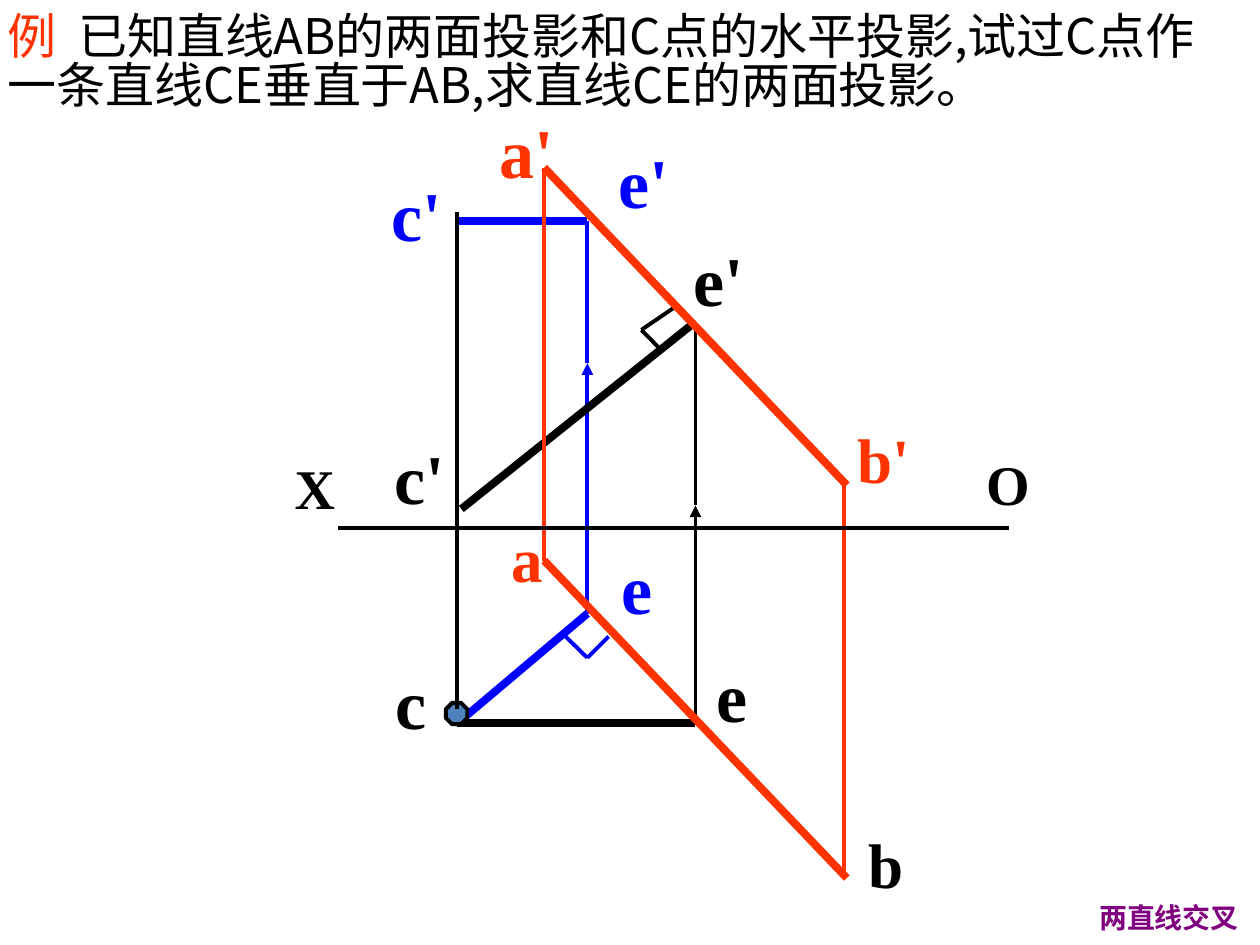
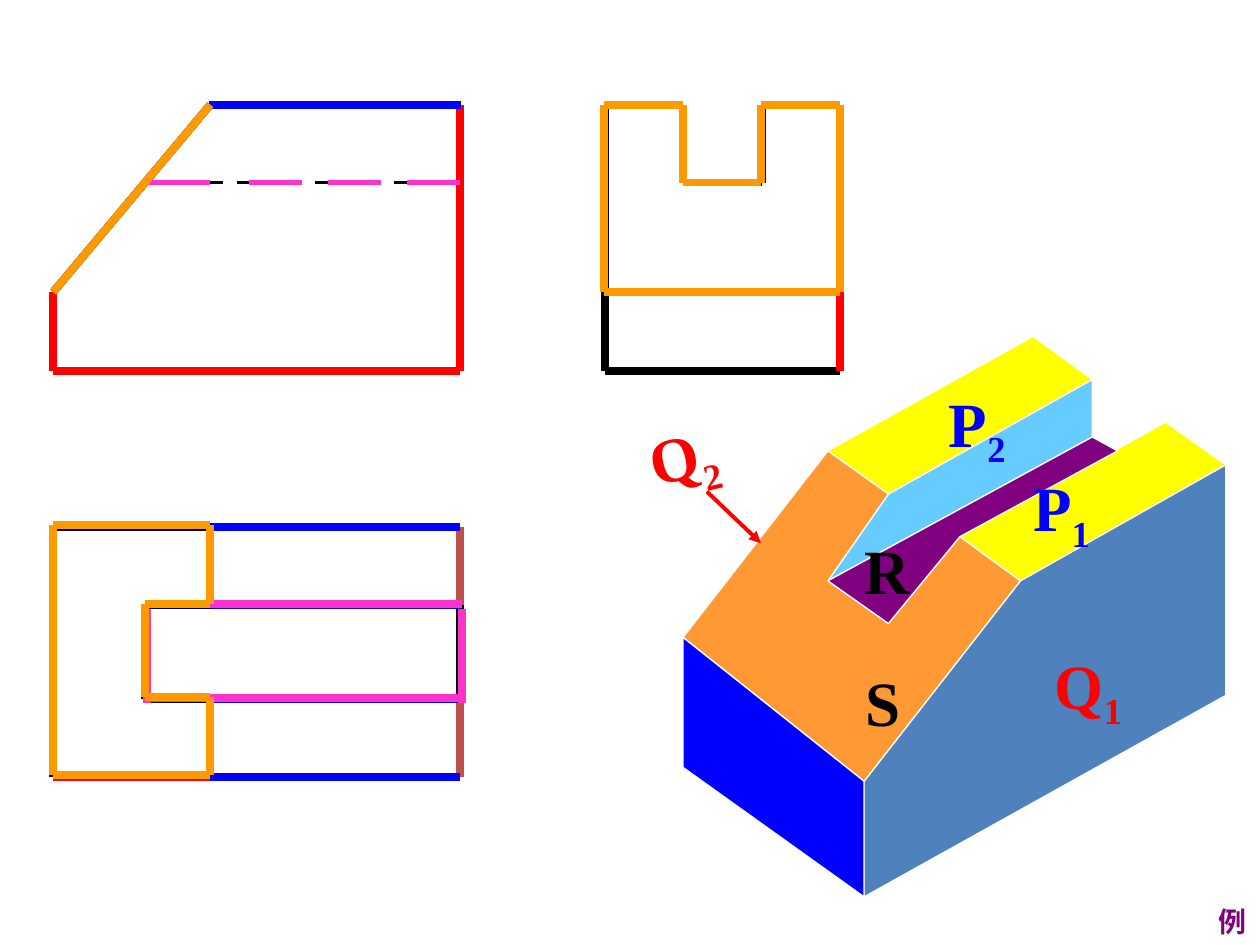
from itertools import pairwise

from lxml.etree import SubElement
from pptx import Presentation
from pptx.dml.color import RGBColor
from pptx.enum.shapes import MSO_CONNECTOR, MSO_SHAPE
from pptx.enum.text import MSO_ANCHOR, PP_ALIGN
from pptx.oxml.ns import qn
from pptx.util import Cm, Pt

BLACK, WHITE = "000000", "FFFFFF"
BLUE, RED, PURPLE = "0000FF", "FF0000", "800080"
VERMILION, ORANGE, PINK = "FF3300", "FF9900", "FF33CC"
BRICK, STEEL = "C0504D", "4F81BD"
LATIN, CHINESE = "Times New Roman", "Noto Sans CJK SC"
THICK, THIN = 4.5, 2.25


def add_text(text, *, page=None, para=None, at=None, size=36, color=BLACK,
             bold=True, name=LATIN, align=PP_ALIGN.LEFT, anchor=MSO_ANCHOR.TOP,
             wrap=False, lines=1, baseline=0):
    """Add text in a new box at (left, top, width), or append it to para."""
    if para is None:
        left, top, width = at
        height = 0.25 + lines * size * 0.0423
        box = page.shapes.add_textbox(Cm(left), Cm(top), Cm(width), Cm(height))
        box.text_frame.word_wrap = wrap
        box.text_frame.vertical_anchor = anchor
        para = box.text_frame.paragraphs[0]
        para.alignment = align
    else:
        box = None
    span = para.add_run()
    span.text = text
    span.font.size = Pt(size)
    span.font.bold = bold
    span.font.color.rgb = RGBColor.from_string(color)
    span.font.name = name
    properties = span._r.get_or_add_rPr()
    SubElement(properties, qn("a:ea"), typeface=CHINESE)
    if baseline:
        properties.set("baseline", str(baseline * 1000))
    return box, para


def draw_path(page, color, width, *points, arrow=False):
    """Join the points with straight connectors."""
    for (x1, y1), (x2, y2) in pairwise(points):
        line = page.shapes.add_connector(
            MSO_CONNECTOR.STRAIGHT, Cm(x1), Cm(y1), Cm(x2), Cm(y2))
        line.line.color.rgb = RGBColor.from_string(color)
        line.line.width = Pt(width)
        if arrow:
            SubElement(line.line._get_or_add_ln(), qn("a:tailEnd"), type="triangle")
        SubElement(line._element.spPr, qn("a:effectLst"))


deck = Presentation()
deck.slide_width, deck.slide_height = Cm(25.4), Cm(19.05)
blank = deck.slide_layouts[6]
footer = dict(size=16, color=PURPLE, align=PP_ALIGN.CENTER, anchor=MSO_ANCHOR.MIDDLE)

# Slide 1: perpendicular through C
page = deck.slides.add_slide(blank)
c, e_black, e_blue = (9.22, 14.58), (14.02, 14.58), (11.84, 12.37)
a, a_front = (10.97, 11.3), (10.97, 3.38)
b, b_front = (17.07, 17.7), (17.07, 9.78)

draw_path(page, BLACK, THICK, c, e_black)
draw_path(page, BLUE, THICK, c, e_blue)
draw_path(page, BLUE, THIN, (11.4, 12.83), (11.84, 13.26), (12.27, 12.83))
for color, foot, middle, head in [
    (BLACK, e_black, (14.02, 10.19), (14.02, 6.65)),
    (BLUE, e_blue, (11.84, 7.32), (11.84, 4.45)),
]:
    draw_path(page, color, THIN, foot, middle, arrow=True)
    draw_path(page, color, THIN, middle, head)
draw_path(page, BLACK, THICK, (13.94, 6.55), (9.3, 10.26))
draw_path(page, BLACK, THIN, (13.59, 6.2), (12.93, 6.65), (13.36, 7.09))
draw_path(page, BLUE, THICK, (11.84, 4.45), (9.22, 4.45))

title = dict(size=28, bold=False, name=CHINESE)
box, para = add_text("例 ", page=page, at=(-0.1, 0.18, 25.2), color=VERMILION,
                     wrap=True, lines=2, **title)
para.line_spacing = 0.83
add_text(" 已知直线AB的两面投影和C点的水平投影,试过C点作一条直线CE垂直于AB,"
         "求直线CE的两面投影。", para=para, **title)

point_c = page.shapes.add_shape(MSO_SHAPE.OCTAGON, Cm(8.99), Cm(14.17), Cm(0.43), Cm(0.43))
point_c.shadow.inherit = False
point_c.fill.solid()
point_c.fill.fore_color.rgb = RGBColor.from_string(STEEL)
point_c.line.color.rgb = RGBColor.from_string(BLACK)
point_c.line.width = Pt(THIN)

draw_path(page, VERMILION, THIN, a, a_front)
draw_path(page, VERMILION, THICK, a, b)
draw_path(page, VERMILION, THICK, b_front, a_front)
draw_path(page, VERMILION, THIN, (17.02, 17.7), (17.02, 9.78))
draw_path(page, BLACK, THIN, (9.22, 14.3), (9.22, 4.27))
draw_path(page, BLACK, THIN, (6.81, 10.64), (20.35, 10.64))

for text, left, top, width, size, color in [
    ("e", 14.2, 13.03, 1.14, 40, BLACK),
    ("e", 12.27, 10.85, 1.14, 40, BLUE),
    ("e'", 13.74, 4.65, 1.52, 40, BLACK),
    ("e'", 12.22, 2.67, 1.52, 40, BLUE),
    ("c'", 7.7, 8.64, 1.52, 40, BLACK),
    ("c'", 7.65, 3.33, 1.52, 40, BLUE),
    ("c", 7.72, 13.18, 1.14, 40, BLACK),
    ("b", 17.25, 16.51, 1.22, 36, BLACK),
    ("a", 10.06, 10.34, 1.14, 36, VERMILION),
    ("b'", 17.04, 8.36, 1.57, 36, VERMILION),
    ("a'", 9.83, 2.06, 1.6, 40, VERMILION),
    ("O", 19.63, 8.94, 1.4, 32, BLACK),
    ("X", 5.69, 9.02, 1.32, 32, BLACK),
]:
    add_text(text, page=page, at=(left, top, width), size=size, color=color)
add_text("两直线交叉", page=page, at=(21.89, 18.03, 3.35), **footer)

# Slide 2: three views and the solid
page = deck.slides.add_slide(blank)
slot_inner, slot_front = (16.69, 11.71), (17.91, 12.57)
slot_back, wall_back = (22.02, 8.81), (22.02, 7.65)
left_near, left_far, left_back = (17.91, 9.96), (16.69, 9.09), (20.83, 6.78)
right_near, right_far, right_back = (20.57, 11.71), (19.35, 10.82), (23.5, 8.51)
corner_top, corner_base = (17.42, 15.75), (17.42, 18.08)
side_top, side_base = (24.71, 9.37), (24.71, 14.02)
end_top, end_base = (13.77, 12.85), (13.77, 15.47)
for color, outline in [
    ("66CCFF", [slot_inner, slot_back, wall_back, left_near]),
    (STEEL, [corner_base, side_base, side_top, right_near, corner_top]),
    ("FFFF00", [right_near, right_far, right_back, side_top]),
    ("FFFF00", [left_near, left_far, left_back, wall_back]),
    ("FF9933", [right_near, right_far, slot_front, slot_inner, left_near,
                left_far, end_top, corner_top]),
    (BLUE, [end_top, end_base, corner_base, corner_top]),
    (PURPLE, [slot_back, (22.53, 9.09), right_far, slot_front, slot_inner]),
]:
    start, *others = [(Cm(x), Cm(y)) for x, y in outline]
    builder = page.shapes.build_freeform(*start)
    builder.add_line_segments(others, close=True)
    face = builder.convert_to_shape()
    face.shadow.inherit = False
    face.fill.solid()
    face.fill.fore_color.rgb = RGBColor.from_string(color)
    face.line.color.rgb = RGBColor.from_string(WHITE)
    face.line.width = Pt(0.75)

left, slot, ridge, right = 1.07, 2.92, 4.24, 9.27
roof, floor, toe, base = 2.11, 3.68, 5.89, 7.47
side1, side2, side3, side4 = 12.19, 13.77, 15.37, 16.94
plan1, plan2, plan3, plan4 = 10.62, 12.19, 14.1, 15.67
for color, *points in [
    # Black outlines: side view, plan, front view
    (BLACK, (side1, roof), (side2, roof), (side2, floor), (side3, floor), (side3, roof),
     (side4, roof), (side4, base), (side1, base), (side1, roof)),
    (BLACK, (side1, toe), (side4, toe)),
    (BLACK, (left, plan1), (right, plan1), (right, plan4), (left, plan4), (left, plan1)),
    (BLACK, (right, plan2), (slot, plan2), (slot, plan3), (right, plan3)),
    (BLACK, (ridge, plan1), (ridge, plan2)),
    (BLACK, (ridge, plan3), (ridge, plan4)),
    (BLACK, (right, base), (right, roof), (ridge, roof), (left, toe), (left, base), (right, base)),
    # Vertical faces
    (RED, (left, plan4), (right, plan4)),
    (RED, (side4, base), (side4, roof)),
    (RED, (left, toe), (left, base), (right, base), (right, roof)),
    # Horizontal faces
    (BLUE, (right + 0.03, roof), (ridge - 0.02, roof)),
    (BRICK, (right, plan1), (right, plan2)),
    (BRICK, (right, plan3), (right, plan4)),
    *[(BLUE, (right, y), (ridge, y)) for y in (plan1, plan2, plan3, plan4)],
]:
    draw_path(page, color, THICK, *points)

for dash in range(4):
    start = right - 1.59 * dash
    black_end, pink_end = start - 1.32, start - 1.07
    if dash == 3:
        black_end, start_pink, pink_end = slot, ridge, slot
    else:
        start_pink = start
    draw_path(page, BLACK, 1.5, (start, floor), (black_end, floor))
    draw_path(page, PINK, 3, (start_pink, floor), (pink_end, floor))

# Slot floor, then the sloping face
for color, *points in [
    (ORANGE, (ridge, roof), (left, toe)),
    (PINK, (2.97, 12.17), (9.32, 12.17)),
    (PINK, (2.97, 14.07), (9.32, 14.07)),
    (PINK, (2.97, 12.27), (2.97, 14.17)),
    (PINK, (9.32, 12.27), (9.32, 14.17)),
    (ORANGE, (ridge, 15.62), (left, 15.62), (left, 10.59), (ridge, 10.59), (ridge, 12.17),
     (slot, 12.17), (slot, 14.05), (ridge, 14.05), (ridge, 15.62)),
    (ORANGE, (12.17, roof), (side2, roof), (side2, floor), (15.34, floor), (15.34, roof),
     (side4, roof), (side4, toe), (12.17, toe), (12.17, roof)),
]:
    draw_path(page, color, THICK, *points)

draw_path(page, RED, THIN, (14.25, 9.91), (15.34, 10.95), arrow=True)
for text, index, x, y, width, color, rotation in [
    ("Q", "1", 20.98, 12.9, 1.93, RED, 0),
    ("Q", "2", 12.8, 8.28, 1.93, RED, 347.1),
    ("P", "1", 20.55, 9.32, 1.7, BLUE, 0),
    ("P", "2", 18.85, 7.62, 1.7, BLUE, 0),
    ("R", "", 17.17, 10.59, 1.42, BLACK, 0),
    ("S", "", 17.2, 13.26, 1.22, BLACK, 0),
]:
    box, para = add_text(text, page=page, at=(x, y, width), color=color, align=PP_ALIGN.CENTER)
    box.rotation = rotation
    if index:
        add_text(index, para=para, color=color, baseline=-25)
add_text("例", page=page, at=(24.28, 18.11, 1.12), **footer)

deck.save("out.pptx")
